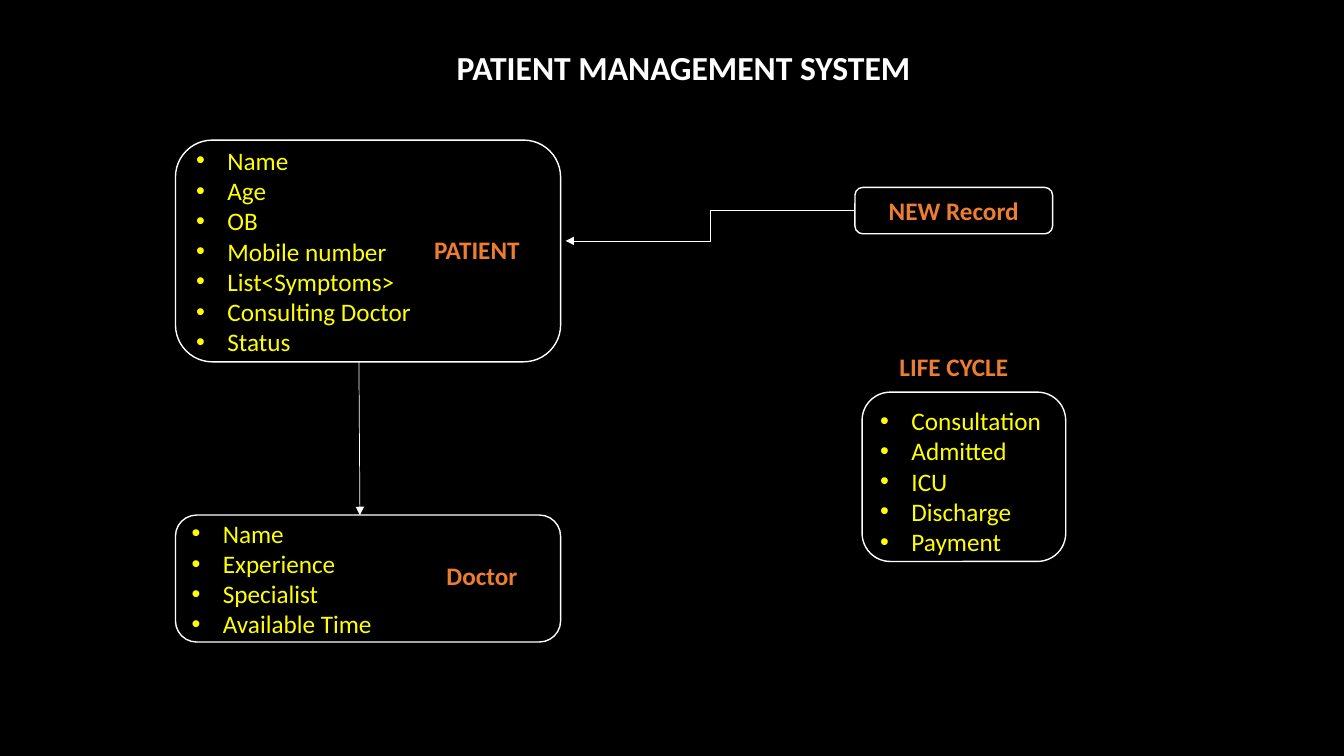
from dataclasses import dataclass

from lxml.etree import SubElement
from pptx import Presentation
from pptx.dml.color import RGBColor
from pptx.enum.shapes import MSO_CONNECTOR, MSO_SHAPE
from pptx.enum.text import MSO_ANCHOR, MSO_AUTO_SIZE, PP_ALIGN
from pptx.oxml.ns import qn
from pptx.slide import Slide
from pptx.text.text import TextFrame
from pptx.util import Inches, Pt

COLORS = {
    "background": "000000",
    "outline": "FFFFFF",
    "title": "FFFFFF",
    "field": "FFFF00",
    "heading": "ED7D31",
}
FONT = "Calibri"
BULLET_INDENT = Inches(0.31)


@dataclass
class Box:
    """A rounded box holding a bulleted list or one centred heading."""
    left: float
    top: float
    width: float
    height: float
    lines: list[str]
    bulleted: bool = True
    anchor: MSO_ANCHOR = MSO_ANCHOR.MIDDLE


@dataclass
class Label:
    """A heading placed in or above a box."""
    left: float
    top: float
    width: float
    text: str
    align: PP_ALIGN = PP_ALIGN.CENTER


@dataclass
class Arrow:
    """A connector with its head at the end point."""
    kind: MSO_CONNECTOR
    start: tuple[float, float]
    end: tuple[float, float]


BOXES = [
    Box(1.74, 1.39, 3.82, 2.2,
        ["Name", "Age", "OB", "Mobile number", "List<Symptoms>",
         "Consulting Doctor", "Status"]),
    Box(1.74, 5.11, 3.82, 1.26,
        ["Name", "Experience", "Specialist", "Available Time"]),
    Box(8.55, 3.89, 2.02, 1.68,
        ["Consultation", "Admitted", "ICU", "Discharge", "Payment"],
        anchor=MSO_ANCHOR.TOP),
    Box(8.48, 1.86, 1.96, 0.46, ["NEW Record"], bulleted=False),
]
LABELS = [
    Label(4.11, 2.28, 1.24, "PATIENT"),
    Label(4.33, 5.51, 1.01, "Doctor", PP_ALIGN.LEFT),
    Label(8.45, 3.44, 2.02, "LIFE CYCLE"),
]
ARROWS = [
    Arrow(MSO_CONNECTOR.ELBOW, (8.48, 2.09), (5.61, 2.39)),
    Arrow(MSO_CONNECTOR.STRAIGHT, (3.56, 3.59), (3.57, 5.11)),
]


def rgb(role: str) -> RGBColor:
    """Return the colour of a role."""
    return RGBColor.from_string(COLORS[role])


def write(frame: TextFrame, text: str, role: str, align: PP_ALIGN,
          size: int = 18, bold: bool = True) -> None:
    """Fill a text frame and format all its runs alike."""
    frame.text = text
    frame.word_wrap = True
    for paragraph in frame.paragraphs:
        paragraph.alignment = align
        for run in paragraph.runs:
            run.font.name = FONT
            run.font.size = Pt(size)
            run.font.bold = bold
            run.font.color.rgb = rgb(role)


def add_bullets(frame: TextFrame) -> None:
    """Give every paragraph a hanging round bullet."""
    for paragraph in frame.paragraphs:
        properties = paragraph._p.get_or_add_pPr()
        properties.set("marL", str(BULLET_INDENT))
        properties.set("indent", str(-BULLET_INDENT))
        SubElement(properties, qn("a:buFont")).set("typeface", "Arial")
        SubElement(properties, qn("a:buChar")).set("char", "•")


def draw_title(slide: Slide, text: str) -> None:
    """Place and format the title placeholder."""
    title = slide.shapes.title
    title.left, title.top = Inches(4.11), Inches(0.42)
    title.width, title.height = Inches(5.34), Inches(0.5)
    write(title.text_frame, text, "title", PP_ALIGN.CENTER, size=24)
    title.text_frame.auto_size = MSO_AUTO_SIZE.NONE
    title.text_frame.vertical_anchor = MSO_ANCHOR.MIDDLE


def draw_box(slide: Slide, box: Box) -> None:
    """Draw a rounded box with its text."""
    shape = slide.shapes.add_shape(
        MSO_SHAPE.ROUNDED_RECTANGLE, Inches(box.left), Inches(box.top),
        Inches(box.width), Inches(box.height))
    shape.shadow.inherit = False
    shape.fill.solid()
    shape.fill.fore_color.rgb = rgb("background")
    shape.line.color.rgb = rgb("outline")
    shape.line.width = Pt(1)
    frame = shape.text_frame
    frame.vertical_anchor = box.anchor
    text = "\n".join(box.lines)
    if box.bulleted:
        write(frame, text, "field", PP_ALIGN.LEFT, bold=False)
        add_bullets(frame)
    else:
        write(frame, text, "heading", PP_ALIGN.CENTER)


def draw_label(slide: Slide, label: Label) -> None:
    """Draw a heading as a text box."""
    heading = slide.shapes.add_textbox(
        Inches(label.left), Inches(label.top), Inches(label.width), Inches(0.4))
    write(heading.text_frame, label.text, "heading", label.align)
    heading.text_frame.auto_size = MSO_AUTO_SIZE.SHAPE_TO_FIT_TEXT


def draw_arrow(slide: Slide, arrow: Arrow) -> None:
    """Draw a thin connector ending in a triangle."""
    points = [Inches(value) for value in (*arrow.start, *arrow.end)]
    connector = slide.shapes.add_connector(arrow.kind, *points)
    connector.line.color.rgb = rgb("outline")
    connector.line.width = Pt(0.5)
    properties = connector._element.spPr
    line = properties.find(qn("a:ln"))
    SubElement(line, qn("a:tailEnd")).set("type", "triangle")
    SubElement(properties, qn("a:effectLst"))


def main() -> None:
    """Build and save the slide."""
    presentation = Presentation()
    presentation.slide_width = Inches(13.33)
    presentation.slide_height = Inches(7.5)
    title_only = presentation.slide_layouts.get_by_name("Title Only")
    slide = presentation.slides.add_slide(title_only)
    slide.background.fill.solid()
    slide.background.fill.fore_color.rgb = rgb("background")
    draw_title(slide, "PATIENT MANAGEMENT SYSTEM")
    for box in BOXES:
        draw_box(slide, box)
    for label in LABELS:
        draw_label(slide, label)
    for arrow in ARROWS:
        draw_arrow(slide, arrow)
    presentation.save("out.pptx")


main()
